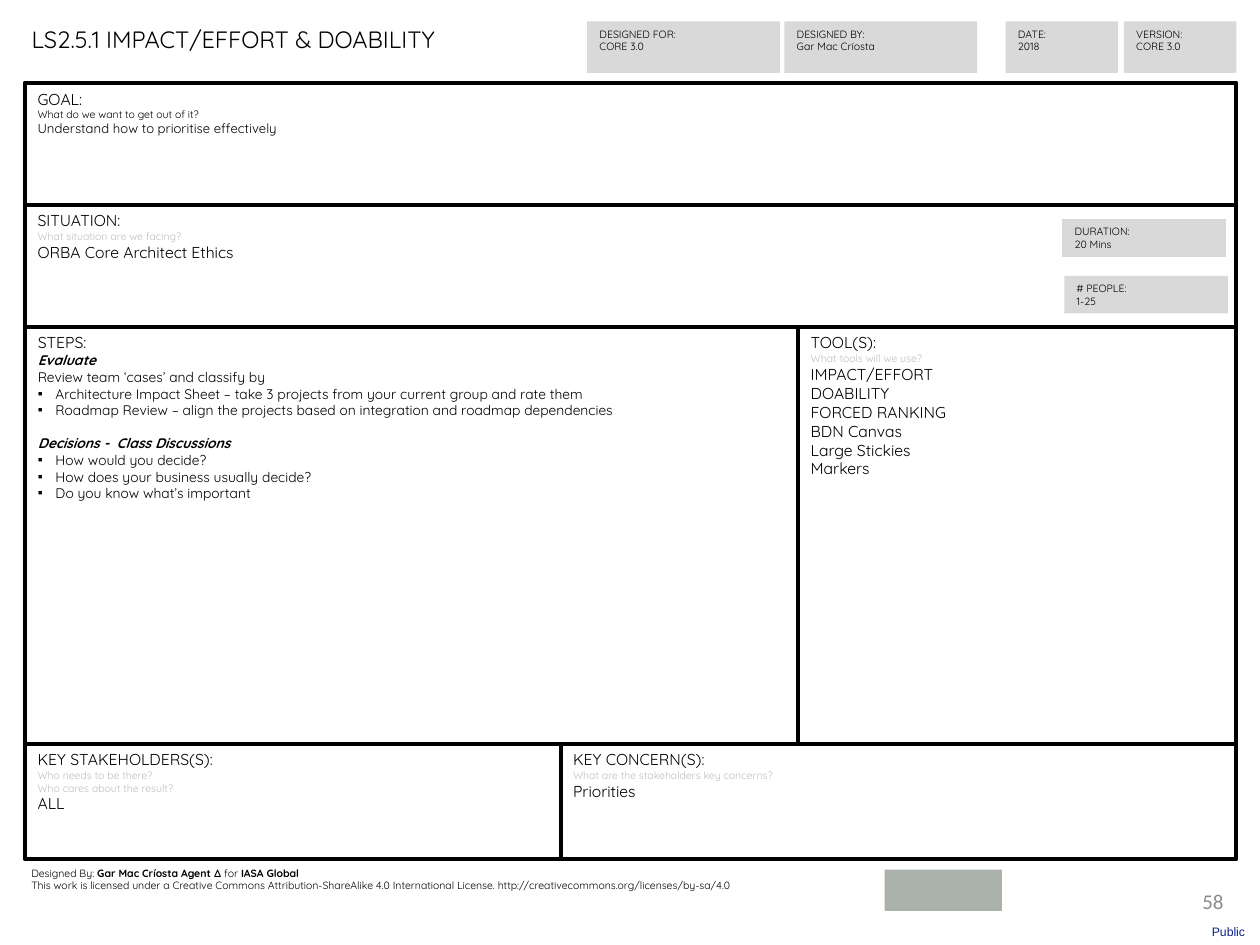
from lxml import etree
from pptx import Presentation
from pptx.dml.color import RGBColor
from pptx.enum.shapes import MSO_SHAPE
from pptx.enum.text import MSO_ANCHOR, MSO_AUTO_SIZE, PP_ALIGN
from pptx.oxml.ns import qn
from pptx.util import Pt

BLACK = RGBColor(0x00, 0x00, 0x00)
HINT_GREY = RGBColor(0xBF, 0xBF, 0xBF)
TAG_GREY = RGBColor(0xD9, 0xD9, 0xD9)
BADGE_GREY = RGBColor(0xAA, 0xB2, 0xAB)
NUMBER_GREY = RGBColor(0x8C, 0x8C, 0x8C)
PUBLIC_BLUE = RGBColor(0x0F, 0x23, 0x8C)

# Text formats
BASE = {"name": "Quicksand", "size": Pt(9), "bold": False, "italic": False}
HEADING = {}
HINT = {"size": Pt(6), "color": HINT_GREY}
SMALL = {"size": Pt(6)}
STRONG = {"size": Pt(6), "bold": True}
GOAL_TEXT = {"size": Pt(7.5)}
STEP = {"size": Pt(7.9)}
STEP_HEADING = {"size": Pt(7.9), "bold": True, "italic": True}
BULLET_INDENT = Pt(10.1)


class Canvas:
    """Holds the style and the current slide."""

    def __init__(self, slide):
        self.slide = slide

    def place(self, shape, box):
        for side, length in zip(("left", "top", "width", "height"), box):
            setattr(shape, side, Pt(length))

    def set_text(self, shape, paragraphs, align=PP_ALIGN.LEFT,
                 anchor=MSO_ANCHOR.TOP, wrap=True):
        """Each paragraph is a list of (text, format) runs."""
        frame = shape.text_frame
        frame.auto_size = MSO_AUTO_SIZE.NONE
        frame.word_wrap = wrap
        frame.vertical_anchor = anchor
        for index, runs in enumerate(paragraphs):
            paragraph = frame.paragraphs[0] if index == 0 else frame.add_paragraph()
            paragraph.alignment = align
            paragraph.space_before = Pt(0)
            for text, text_format in runs:
                run = paragraph.add_run()
                run.text = text
                values = {**BASE, "color": BLACK, **text_format}
                run.font.color.rgb = values.pop("color")
                for attribute, value in values.items():
                    setattr(run.font, attribute, value)
        return frame

    def rectangle(self, box, fill=None, outline=None):
        shape = self.slide.shapes.add_shape(
            MSO_SHAPE.RECTANGLE, *(Pt(length) for length in box))
        shape.shadow.inherit = False
        if fill is None:
            shape.fill.background()
        else:
            shape.fill.solid()
            shape.fill.fore_color.rgb = fill
        self.outline(shape, outline)
        return shape

    def outline(self, shape, color):
        if color is None:
            shape.line.fill.background()
        else:
            shape.line.color.rgb = color
            shape.line.width = Pt(2.25)

    def title(self, box, text):
        heading = self.slide.shapes.title
        self.place(heading, box)
        self.set_text(heading, [[(text, {"size": Pt(13.5)})]], wrap=False)

    def panel(self, box, lines=()):
        panel = self.rectangle(box, outline=BLACK)
        if lines:
            self.set_text(panel, [[line] for line in lines])

    def tag(self, box, caption, value):
        tag = self.rectangle(box, fill=TAG_GREY)
        self.set_text(tag, [[(caption, SMALL)], [(value, SMALL)]])

    def label(self, box, paragraphs, **layout):
        label = self.slide.shapes.add_textbox(*(Pt(length) for length in box))
        return self.set_text(label, paragraphs, **layout)

    def steps(self, box, heading, sections):
        """Fill the body placeholder with headed sections of bullets."""
        body = self.slide.placeholders[1]
        self.place(body, box)
        self.outline(body, BLACK)
        lines, bulleted, section_starts = [(heading, HEADING)], [False], []
        for section_heading, intro, bullets in sections:
            section_starts.append(len(lines))
            plain = [(section_heading, STEP_HEADING)] + [(text, STEP) for text in intro]
            lines += plain + [(text, STEP) for text in bullets]
            bulleted += [False] * len(plain) + [True] * len(bullets)
        frame = self.set_text(body, [[line] for line in lines])
        for paragraph, has_bullet in zip(frame.paragraphs, bulleted):
            self.bullet(paragraph, has_bullet)
        for start in section_starts[1:]:
            frame.paragraphs[start].space_before = Pt(9.5)

    def bullet(self, paragraph, shown):
        properties = paragraph._p.get_or_add_pPr()
        indent = BULLET_INDENT if shown else 0
        properties.set("marL", str(int(indent)))
        properties.set("indent", str(-int(indent)))
        if shown:
            etree.SubElement(properties, qn("a:buFont")).set("typeface", "Arial")
            etree.SubElement(properties, qn("a:buChar")).set("char", "▪")
        else:
            etree.SubElement(properties, qn("a:buNone"))


def main():
    presentation = Presentation()
    presentation.slide_width, presentation.slide_height = Pt(720), Pt(540)
    canvas = Canvas(presentation.slides.add_slide(presentation.slide_layouts[1]))

    # Edges of the canvas grid
    left, right = 14.4, 706.5
    goal_top, situation_top, steps_top, people_top, bottom = 47.5, 117, 186.7, 425, 490.8
    tools_left, concerns_left = 456.2, 320.4

    # Header
    canvas.title((10.8, 10.8, 249, 23.8), "LS2.5.1 IMPACT/EFFORT & DOABILITY")
    for tag_left, width, caption, value in (
            (335.5, 110.2, "DESIGNED FOR:", "CORE 3.0"),
            (448.2, 110.2, "DESIGNED BY:", "Gar Mac Críosta"),
            (574.6, 64.4, "DATE:", "2018"),
            (642.2, 64.4, "VERSION:", "CORE 3.0")):
        canvas.tag((tag_left, 12.2, width, 29.5), caption, value)

    # Steps
    canvas.steps(
        (left, steps_top, tools_left - left, people_top - steps_top), "STEPS:",
        [("Evaluate", ["Review team ‘cases’ and classify by"],
          ["Architecture Impact Sheet – take 3 projects from your current group and rate them",
           "Roadmap Review – align the projects based on integration and roadmap dependencies"]),
         ("Decisions -  Class Discussions", [],
          ["How would you decide?",
           "How does your business usually decide?",
           "Do you know what’s important"])])

    # Outer frame and panels
    canvas.panel((left, goal_top, right - left, bottom - goal_top))
    tools = ("IMPACT/EFFORT", "DOABILITY", "FORCED RANKING", "BDN Canvas",
             "Large Stickies", "Markers")
    for x1, y1, x2, y2, lines in (
            (left, goal_top, right, situation_top,
             [("GOAL:", HEADING), ("What do we want to get out of it?", SMALL),
              ("Understand how to prioritise effectively", GOAL_TEXT)]),
            (left, situation_top, right, steps_top,
             [("SITUATION:", HEADING), ("What situation are we facing?", HINT),
              ("ORBA Core Architect Ethics", HEADING)]),
            (tools_left, steps_top, right, people_top,
             [("TOOL(S):", HEADING), ("What tools will we use?", HINT),
              *((tool, HEADING) for tool in tools)]),
            (left, people_top, concerns_left, bottom,
             [("KEY STAKEHOLDERS(S):", HEADING), ("Who needs to be there?", HINT),
              ("Who cares about the result?", HINT), ("ALL", HEADING)]),
            (concerns_left, people_top, right, bottom,
             [("KEY CONCERN(S):", HEADING),
              ("What are the stakeholders key concerns?", HINT),
              ("Priorities", HEADING)])):
        canvas.panel((x1, y1, x2 - x1, y2 - y1), lines)

    # Session tags
    canvas.tag((607, 125.3, 93.5, 21.5), "DURATION:", "20 Mins")
    canvas.tag((608.2, 157.7, 93.5, 21.5), "# PEOPLE:", "1-25")

    # Footer
    canvas.label((10.8, 491.8, 604, 21.6), [
        [("Designed By: ", SMALL), ("Gar Mac Críosta Agent ∆", STRONG),
         (" for ", SMALL), ("IASA Global", STRONG)],
        [("This work is licensed under a Creative Commons Attribution-ShareAlike 4.0 "
          "International License. http://creativecommons.org/licenses/by-sa/4.0", SMALL)]])
    canvas.rectangle((505.6, 497, 67, 23.5), fill=BADGE_GREY)
    number = {"name": "Calibri", "size": Pt(12), "color": NUMBER_GREY}
    canvas.label((508.3, 500.4, 198, 28.8), [[("58", number)]],
                 align=PP_ALIGN.RIGHT, anchor=MSO_ANCHOR.MIDDLE)
    marking = {"name": "Arial", "size": Pt(7), "color": PUBLIC_BLUE}
    public = canvas.label((684, 524.2, 36, 15.8), [[("Public", marking)]],
                          align=PP_ALIGN.RIGHT, anchor=MSO_ANCHOR.MIDDLE)
    for side, inset in {"left": 0, "top": 0, "right": 8.5, "bottom": 0}.items():
        setattr(public, f"margin_{side}", Pt(inset))

    presentation.save("out.pptx")


if __name__ == "__main__":
    main()
